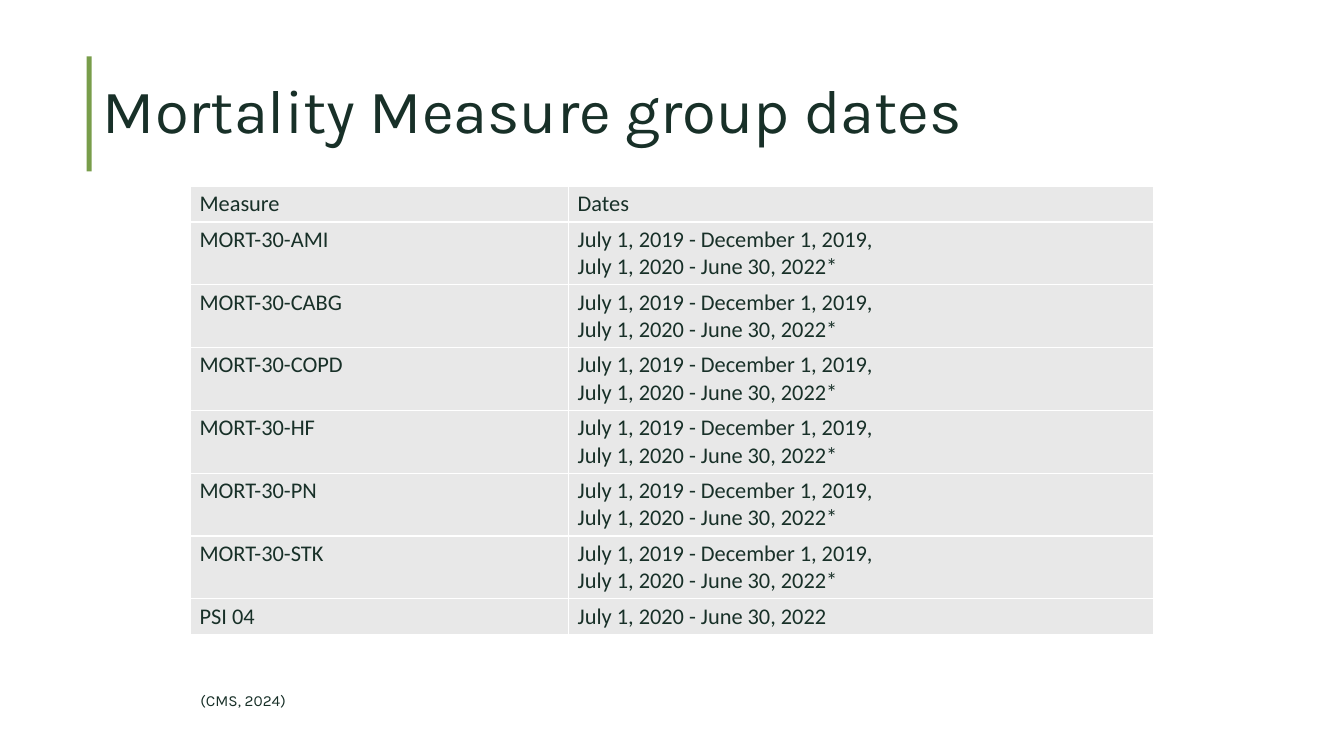
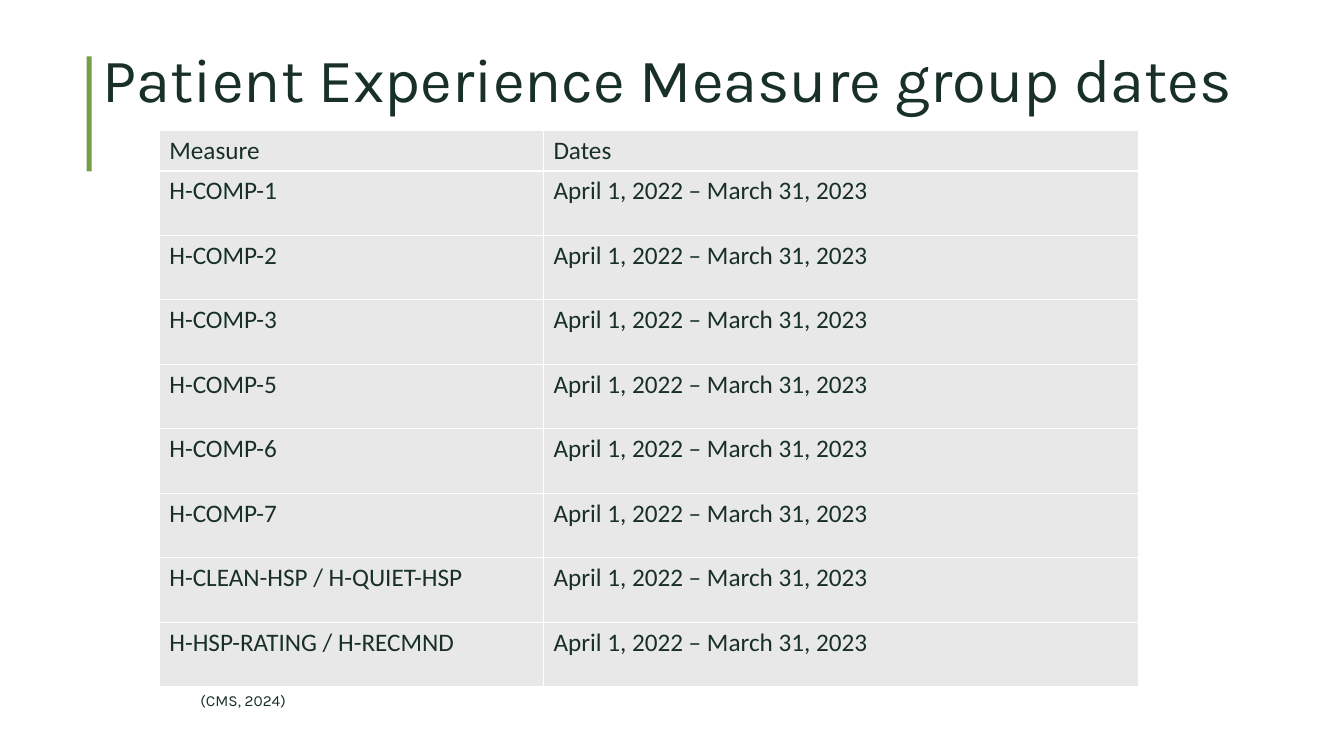
"""Build two slides of measure group dates, each with a title, a table and a source."""
from dataclasses import dataclass

from lxml import etree
from pptx import Presentation
from pptx.dml.color import RGBColor
from pptx.enum.shapes import MSO_SHAPE
from pptx.enum.text import MSO_ANCHOR, MSO_AUTO_SIZE, PP_ALIGN
from pptx.oxml.ns import qn
from pptx.util import Inches, Pt

RECT = MSO_SHAPE.RECTANGLE
TOP, MIDDLE, BOTTOM = MSO_ANCHOR.TOP, MSO_ANCHOR.MIDDLE, MSO_ANCHOR.BOTTOM
LEFT = PP_ALIGN.LEFT
NO_FIT, FIT_SHAPE = MSO_AUTO_SIZE.NONE, MSO_AUTO_SIZE.SHAPE_TO_FIT_TEXT
TITLE_ONLY = 5

COLORS = {"text": "183028", "accent": "789D4A", "cell": "E8E8E8", "border": "FFFFFF"}
HEADING_FONT, TABLE_FONT = "Karla", "Calibri"
SOURCE = "(CMS, 2024)"
HEADER = ("Measure", "Dates")
SPLIT_DATES = "July 1, 2019 - December 1, 2019,\vJuly 1, 2020 - June 30, 2022*"
SURVEY_DATES = "April 1, 2022 – March 31, 2023"


@dataclass
class DateTable:
    left: float
    top: float
    col_widths: tuple[float, float]
    row_heights: list[float]
    size: int
    margin_x: float
    margin_y: float
    rows: list[tuple[str, str]]


@dataclass
class DateSlide:
    title: str
    title_top: float
    table: DateTable


SLIDES = [
    DateSlide(
        "Mortality Measure group dates", 0.4,
        DateTable(
            1.89, 1.85, (3.75, 5.8), [0.35] + [0.62] * 6 + [0.35], 16, 0.09, 0.04,
            [(f"MORT-30-{name}", SPLIT_DATES)
             for name in ("AMI", "CABG", "COPD", "HF", "PN", "STK")]
            + [("PSI 04", "July 1, 2020 - June 30, 2022")],
        ),
    ),
    DateSlide(
        "Patient Experience Measure group dates", 0.09,
        DateTable(
            1.58, 1.29, (3.81, 5.9), [0.4] + [0.64] * 8, 18, 0.1, 0.05,
            [(f"H-{name}", SURVEY_DATES)
             for name in ("COMP-1", "COMP-2", "COMP-3", "COMP-5", "COMP-6", "COMP-7",
                          "CLEAN-HSP / H-QUIET-HSP", "HSP-RATING / H-RECMND")],
        ),
    ),
]


def rgb(name: str) -> RGBColor:
    return RGBColor.from_string(COLORS[name])


def style_text(tf, font: str, size: int) -> None:
    for p in tf.paragraphs:
        p.alignment = LEFT
        p.font.name = font
        p.font.size = Pt(size)
        p.font.color.rgb = rgb("text")


def add_bar(s) -> None:
    sp = s.shapes.add_shape(RECT, Inches(0.86), Inches(0.56), Inches(0.05), Inches(1.14))
    sp.shadow.inherit = False
    sp.fill.solid()
    sp.fill.fore_color.rgb = rgb("accent")
    sp.line.fill.background()


def set_title(s, text: str, top: float) -> None:
    sp = s.shapes.title
    sp.left, sp.top = Inches(0.92), Inches(top)
    sp.width, sp.height = Inches(11.5), Inches(1.45)
    tf = sp.text_frame
    tf.text = text
    tf.auto_size = NO_FIT
    tf.word_wrap = True
    tf.vertical_anchor = MIDDLE
    style_text(tf, HEADING_FONT, 44)
    tf.paragraphs[0].line_spacing = 0.9


def add_source(s) -> None:
    sp = s.shapes.add_textbox(Inches(1.89), Inches(6.81), Inches(9.86), Inches(0.29))
    tf = sp.text_frame
    tf.text = SOURCE
    tf.word_wrap = True
    tf.auto_size = FIT_SHAPE
    style_text(tf, HEADING_FONT, 11)


def set_borders(cell) -> None:
    tc_pr = cell._tc.get_or_add_tcPr()
    for i, side in enumerate(("lnL", "lnR", "lnT", "lnB")):
        ln = etree.Element(qn(f"a:{side}"), w=str(Pt(1)))
        fill = etree.SubElement(ln, qn("a:solidFill"))
        etree.SubElement(fill, qn("a:srgbClr"), val=COLORS["border"])
        tc_pr.insert(i, ln)


def add_date_table(s, spec: DateTable) -> None:
    rows = [HEADER, *spec.rows]
    table = s.shapes.add_table(
        len(rows), len(HEADER), Inches(spec.left), Inches(spec.top),
        Inches(sum(spec.col_widths)), Inches(sum(spec.row_heights)),
    ).table
    table.first_row = table.horz_banding = False
    for col, width in zip(table.columns, spec.col_widths):
        col.width = Inches(width)
    for r, (values, height) in enumerate(zip(rows, spec.row_heights)):
        table.rows[r].height = Inches(height)
        for c, value in enumerate(values):
            cell = table.cell(r, c)
            cell.text = value
            cell.margin_left = cell.margin_right = Inches(spec.margin_x)
            cell.margin_top = cell.margin_bottom = Inches(spec.margin_y)
            cell.vertical_anchor = BOTTOM if r == 0 else TOP
            cell.fill.solid()
            cell.fill.fore_color.rgb = rgb("cell")
            style_text(cell.text_frame, TABLE_FONT, spec.size)
            set_borders(cell)


def main() -> None:
    prs = Presentation()
    prs.slide_width, prs.slide_height = Inches(13.33), Inches(7.5)
    for content in SLIDES:
        s = prs.slides.add_slide(prs.slide_layouts[TITLE_ONLY])
        add_bar(s)
        set_title(s, content.title, content.title_top)
        add_date_table(s, content.table)
        add_source(s)
    prs.save("out.pptx")


if __name__ == "__main__":
    main()
